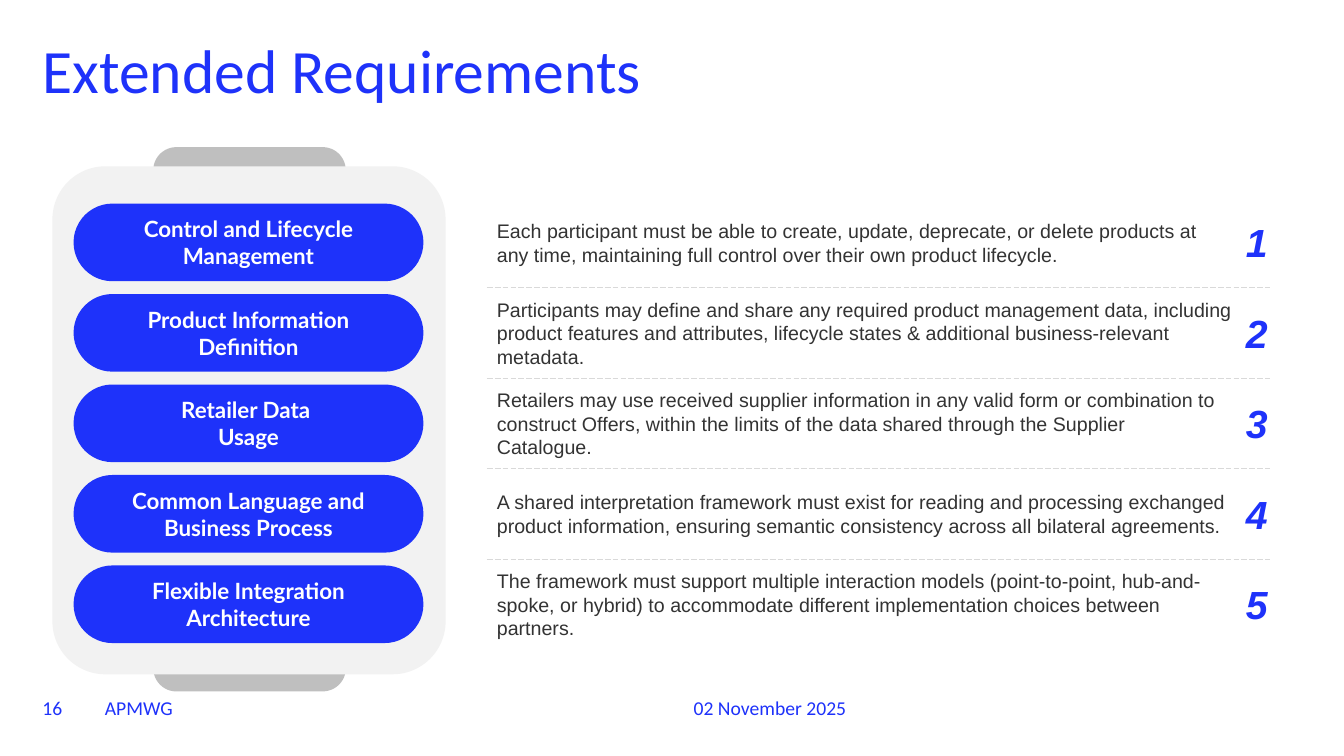
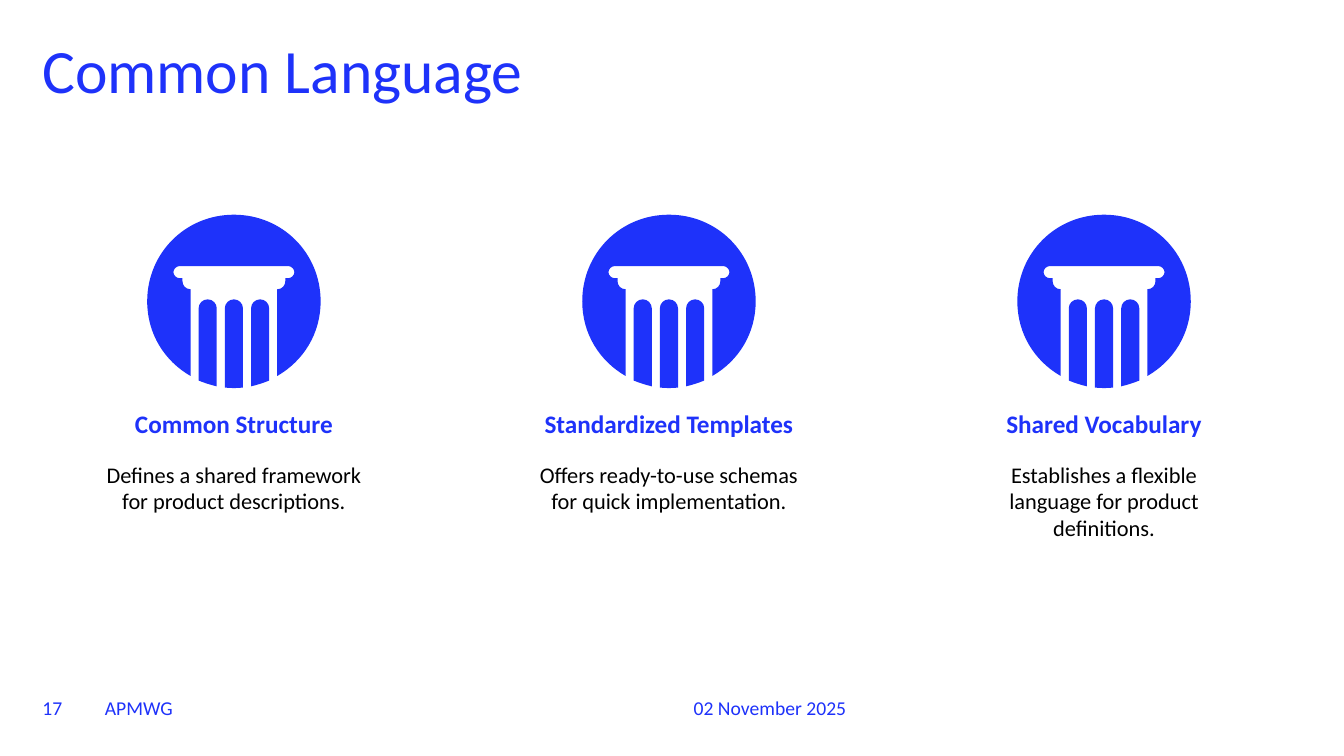
"""Builds two slides on extended requirements and a common product language."""
from math import sqrt

from lxml import etree
from pptx import Presentation
from pptx.dml.color import RGBColor
from pptx.enum.dml import MSO_LINE
from pptx.enum.shapes import MSO_CONNECTOR, MSO_SHAPE
from pptx.enum.text import MSO_ANCHOR, MSO_AUTO_SIZE, PP_ALIGN
from pptx.oxml.ns import qn
from pptx.util import Inches, Pt

ROUNDED = MSO_SHAPE.ROUNDED_RECTANGLE
STRAIGHT, LONG_DASH = MSO_CONNECTOR.STRAIGHT, MSO_LINE.LONG_DASH
LEFT, CENTER = PP_ALIGN.LEFT, PP_ALIGN.CENTER
TOP, MIDDLE, BOTTOM = MSO_ANCHOR.TOP, MSO_ANCHOR.MIDDLE, MSO_ANCHOR.BOTTOM
FIXED, GROW = MSO_AUTO_SIZE.NONE, MSO_AUTO_SIZE.SHAPE_TO_FIT_TEXT

BLUE, WHITE, BLACK, INK = "1E32FA", "FFFFFF", "000000", "333333"
PANEL, CLIP, RULE = "F2F2F2", "BFBFBF", "D9D9D9"

ROW_WIDTH, WIDE_ROW_WIDTH = 7.43, 7.69
REQUIREMENTS = [
    ("Control and Lifecycle Management",
     "Each participant must be able to create, update, deprecate, or delete products at "
     "any time, maintaining full control over their own product lifecycle.", ROW_WIDTH),
    ("Product Information Definition",
     "Participants may define and share any required product management data, including "
     "product features and attributes, lifecycle states & additional business-relevant "
     "metadata.", WIDE_ROW_WIDTH),
    ("Retailer Data \vUsage",
     "Retailers may use received supplier information in any valid form or combination to "
     "construct Offers, within the limits of the data shared through the Supplier "
     "Catalogue.", ROW_WIDTH),
    ("Common Language and Business Process",
     "A shared interpretation framework must exist for reading and processing exchanged "
     "product information, ensuring semantic consistency across all bilateral agreements.",
     ROW_WIDTH),
    ("Flexible Integration Architecture",
     "The framework must support multiple interaction models (point-to-point, hub-and-spoke, "
     "or hybrid) to accommodate different implementation choices between partners.",
     ROW_WIDTH),
]
PILLARS = [
    ("Common Structure", 2.71,
     "Defines a shared framework for product descriptions.", 2.64),
    ("Standardized Templates", 3.16,
     "Offers ready-to-use schemas for quick implementation.", 2.57),
    ("Shared Vocabulary", 2.63,
     "Establishes a flexible language for product definitions.", 2.7),
]

ICON_RADIUS, FLUTE_HALF, FLUTE_PITCH = 0.86, 0.09, 0.26
CAPITAL = [
    ((0.43, 0.74),),
    ((0.69, 0.59), (0.86, 0.32), (0.86, 0)),
    ((0.86, -0.48), (0.48, -0.86), (0, -0.86)),
    ((-0.48, -0.86), (-0.86, -0.48), (-0.86, 0)),
    ((-0.86, 0.32), (-0.69, 0.59), (-0.43, 0.74)),
    ((-0.43, -0.12),),
    ((-0.48, -0.12), (-0.51, -0.16), (-0.51, -0.2)),
    ((-0.51, -0.23),),
    ((-0.54, -0.23),),
    ((-0.57, -0.23), (-0.6, -0.26), (-0.6, -0.29)),
    ((-0.6, -0.32), (-0.57, -0.35), (-0.54, -0.35)),
    ((0.54, -0.35),),
    ((0.57, -0.35), (0.6, -0.32), (0.6, -0.29)),
    ((0.6, -0.26), (0.57, -0.23), (0.54, -0.23)),
    ((0.51, -0.23),),
    ((0.51, -0.2),),
    ((0.51, -0.16), (0.48, -0.12), (0.43, -0.12)),
]


def rgb(value):
    return RGBColor.from_string(value)


def write(shape, text, size=14, font="Calibri", color=BLUE, bold=False, italic=False,
          align=LEFT, anchor=TOP, inset=None, wrap=True, spacing=None, fit=FIXED):
    frame = shape.text_frame
    frame.word_wrap = wrap
    frame.auto_size = fit
    frame.vertical_anchor = anchor
    if inset is not None:
        frame.margin_left = frame.margin_right = Inches(inset)
        frame.margin_top = frame.margin_bottom = Inches(inset)
    paragraph = frame.paragraphs[0]
    paragraph.text = text
    paragraph.alignment = align
    paragraph.line_spacing = spacing
    for run in paragraph.runs:
        run.font.size = Pt(size)
        run.font.name = font
        run.font.bold = bold
        run.font.italic = italic
        run.font.color.rgb = rgb(color)


def rim(x):
    return x, sqrt(ICON_RADIUS ** 2 - x ** 2)


def flute(middle):
    left, right = middle - FLUTE_HALF, middle + FLUTE_HALF
    steps = [
        (rim(right),),
        ((right, 0.07),),
        ((right, 0.02), (middle + 0.05, -0.02), (middle, -0.02)),
        ((middle - 0.05, -0.02), (left, 0.02), (left, 0.07)),
        (rim(left),),
    ]
    stops = [left, 0, right] if middle == 0 else [left, right]
    for start, end in zip(stops, stops[1:]):
        third = (end - start) / 3
        steps.append((rim(start + third), rim(end - third), rim(end)))
    return steps


class Deck:
    def __init__(self):
        self.presentation = Presentation()
        self.presentation.slide_width = Inches(13.33)
        self.presentation.slide_height = Inches(7.5)
        self.slide = None

    def start_slide(self, title, number):
        self.slide = self.presentation.slides.add_slide(self.presentation.slide_layouts[6])
        self.text(0.42, 0.4, 12.5, 0.67, title, size=44, inset=0, spacing=0.9)
        for left, width, footer in ((6.88, 3, "02 November 2025"), (1.04, 5.41, "APMWG"),
                                    (0.42, 0.5, str(number))):
            self.text(left, 6.74, width, 0.4, footer, anchor=BOTTOM, inset=0)

    def text(self, left, top, width, height, text, **style):
        box = self.slide.shapes.add_textbox(
            Inches(left), Inches(top), Inches(width), Inches(height))
        write(box, text, **style)

    def paint(self, shape, fill):
        shape.shadow.inherit = False
        shape.fill.solid()
        shape.fill.fore_color.rgb = rgb(fill)
        shape.line.fill.background()

    def block(self, left, top, width, height, fill, rounding=0, text=None, **style):
        block = self.slide.shapes.add_shape(
            ROUNDED, Inches(left), Inches(top), Inches(width), Inches(height))
        block.adjustments[0] = rounding
        self.paint(block, fill)
        if text:
            write(block, text, anchor=MIDDLE, **style)

    def divider(self, left, right, y):
        divider = self.slide.shapes.add_connector(
            STRAIGHT, Inches(left), Inches(y), Inches(right), Inches(y))
        divider.line.color.rgb = rgb(RULE)
        divider.line.width = Pt(0.5)
        divider.line.dash_style = LONG_DASH
        etree.SubElement(divider.element.spPr, qn("a:effectLst"))

    def column_icon(self, x, y):
        contours = [[[(Inches(x + dx), Inches(y + dy)) for dx, dy in step] for step in steps]
                    for steps in (CAPITAL, flute(FLUTE_PITCH), flute(0), flute(-FLUTE_PITCH))]
        builder = self.slide.shapes.build_freeform(*contours[0][0][-1])
        for index, contour in enumerate(contours):
            if index:
                builder.move_to(*contour[0][-1])
            builder.add_line_segments([step[-1] for step in contour[1:]], close=True)
        icon = builder.convert_to_shape()
        self.paint(icon, BLUE)
        steps = [step for contour in contours for step in contour[1:]]
        for segment, step in zip(list(icon.element.iter(qn("a:lnTo"))), steps):
            if len(step) == 3:
                segment.tag = qn("a:cubicBezTo")
                for position, (px, py) in enumerate(step[:2]):
                    control = etree.Element(qn("a:pt"), x=str(px - icon.left),
                                            y=str(py - icon.top))
                    segment.insert(position, control)


def requirements_slide(deck):
    deck.start_slide("Extended Requirements", 16)
    deck.block(1.52, 1.46, 1.91, 5.4, CLIP, 0.12)
    deck.block(0.52, 1.65, 3.9, 5.04, PANEL, 0.135)
    first_top, last_top, height = 2.02, 5.61, 0.77
    pitch = (last_top - first_top) / (len(REQUIREMENTS) - 1)
    for index, (heading, detail, width) in enumerate(REQUIREMENTS):
        top = first_top + index * pitch
        deck.block(0.73, top, 3.47, height, BLUE, 0.5, heading,
                   size=16, font="Lato", color=WHITE, bold=True, align=CENTER)
        deck.block(4.83, top, width, height, WHITE, text=detail, font="Arial", color=INK)
        deck.text(12.26, top + 0.1, 0.43, 0.57, str(index + 1), size=28, font="Arial",
                  bold=True, italic=True, wrap=False, fit=GROW)
        if index:
            deck.divider(4.83, 12.6, top - (pitch - height) / 2)


def language_slide(deck):
    deck.start_slide("Common Language", 17)
    first_center, last_center = 2.32, 10.95
    pitch = (last_center - first_center) / (len(PILLARS) - 1)
    for index, (heading, heading_width, detail, detail_width) in enumerate(PILLARS):
        center = first_center + index * pitch
        deck.column_icon(center, 2.99)
        deck.text(center - heading_width / 2, 4.05, heading_width, 0.3, heading,
                  size=18, bold=True, align=CENTER, inset=0)
        deck.text(center - detail_width / 2, 4.57, detail_width, 0.81, detail,
                  size=16, color=BLACK, align=CENTER, inset=0)


def main():
    deck = Deck()
    requirements_slide(deck)
    language_slide(deck)
    deck.presentation.save("out.pptx")


if __name__ == "__main__":
    main()
